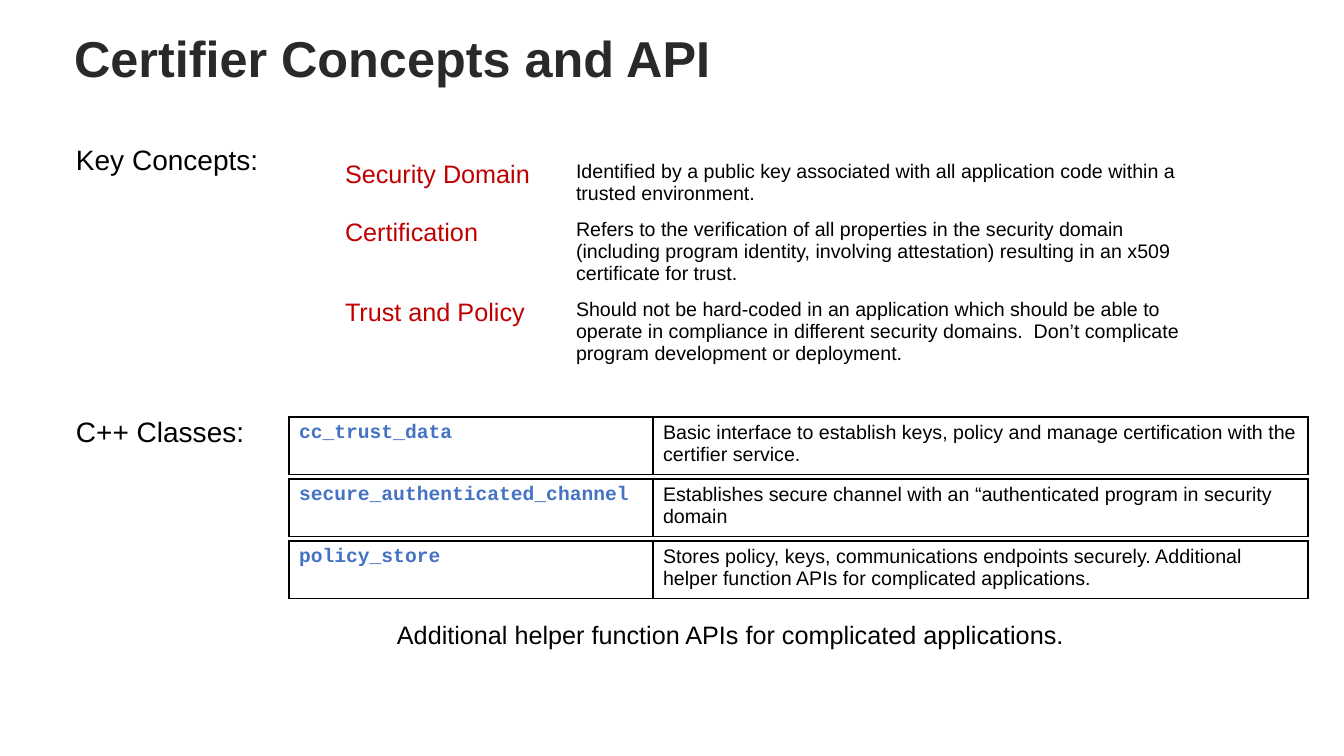
import pptx
import pptx.util
import pptx.dml.color
import pptx.enum.text
import pptx.oxml
import pptx.oxml.ns

PX = 914400 / 100.8
BLACK, RED, BLUE, TITLE = "000000", "C00000", "4472C4", "292929"

CONCEPTS = [
    ("Security Domain", "Identified by a public key associated with all application "
     "code within a trusted environment.", 54),
    ("Certification", "Refers to the verification of all properties in the security "
     "domain (including program identity, involving attestation) resulting in an x509 "
     "certificate for trust.", 76),
    ("Trust and Policy", "Should not be hard-coded in an application which should be able "
     "to operate in compliance in different security domains.  Don’t complicate program "
     "development or deployment.", 76),
]
CLASSES = [
    ("cc_trust_data", "Basic interface to establish keys, policy and manage "
     "certification with the certifier service."),
    ("secure_authenticated_channel", "Establishes secure channel with an “authenticated "
     "program in security domain"),
    ("policy_store", "Stores policy, keys, communications endpoints securely. Additional "
     "helper function APIs for complicated applications."),
]


def px(n):
    return pptx.util.Emu(round(n * PX))


def rgb(color):
    return pptx.dml.color.RGBColor.from_string(color)


def write(tf, text, size=14, color=BLACK, font="Arial", bold=False, before=None, spacing=None):
    p = tf.paragraphs[0]
    p.alignment = pptx.enum.text.PP_ALIGN.LEFT
    p.space_before = before
    p.line_spacing = spacing
    r = p.add_run()
    r.text = text
    r.font.size = pptx.util.Pt(size)
    r.font.name = font
    r.font.bold = bold
    r.font.color.rgb = rgb(color)


def set_margins(tf, left, top, right, bottom):
    tf.margin_left, tf.margin_top = px(left), px(top)
    tf.margin_right, tf.margin_bottom = px(right), px(bottom)


def add_title(s, text):
    sp = s.shapes.title
    sp.left, sp.top, sp.width, sp.height = px(69), px(17), px(1163), px(88)
    tf = sp.text_frame
    tf.auto_size = pptx.enum.text.MSO_AUTO_SIZE.NONE
    tf.vertical_anchor = pptx.enum.text.MSO_ANCHOR.MIDDLE
    set_margins(tf, 5, 5, 5, 5)
    write(tf, text, size=36, color=TITLE, bold=True, spacing=0.9)


def add_text(s, text, x, y, w, h, margins=(10, 5, 10, 5), **fmt):
    tf = s.shapes.add_textbox(px(x), px(y), px(w), px(h)).text_frame
    tf.word_wrap = True
    set_margins(tf, *margins)
    write(tf, text, **fmt)


def add_section_label(s, text, y):
    add_text(s, text, 36, y, 290, 76, margins=(40, 25, 25, 25),
             size=20, before=pptx.util.Pt(4))


def add_borders(cell):
    tc_pr = cell._tc.get_or_add_tcPr()
    for i, side in enumerate("LRTB"):
        tc_pr.insert(i, pptx.oxml.parse_xml(
            f'<a:ln{side} {pptx.oxml.ns.nsdecls("a")} w="12700"><a:solidFill>'
            f'<a:srgbClr val="{BLACK}"/></a:solidFill></a:ln{side}>'))


def add_term_table(s, rows, x, y, widths, heights, bordered=False, **term_fmt):
    """Table of terms, styled by term_fmt, beside their descriptions."""
    table = s.shapes.add_table(len(rows), 2, px(x), px(y),
                               px(sum(widths)), px(sum(heights))).table
    table.first_row = table.horz_banding = False
    for col, width in zip(table.columns, widths):
        col.width = px(width)
    for row, height, texts in zip(table.rows, heights, rows):
        row.height = px(height)
        for cell, text, fmt in zip(row.cells, texts, (term_fmt, {})):
            cell.fill.background()
            write(cell.text_frame, text, **fmt)
            if bordered:
                add_borders(cell)


def main():
    prs = pptx.Presentation()
    prs.slide_width, prs.slide_height = px(1344), px(756)
    s = prs.slides.add_slide(prs.slide_layouts[5])
    add_title(s, "Certifier Concepts and API")

    add_section_label(s, "Key Concepts:", 126)
    add_term_table(s, [c[:2] for c in CONCEPTS], 335, 156, (231, 658),
                   [c[2] for c in CONCEPTS], size=18, color=RED)

    add_section_label(s, "C++ Classes:", 398)
    for i, row in enumerate(CLASSES):
        add_term_table(s, [row], 289, 417 + 62 * i, (364, 655), [54], bordered=True,
                       color=BLUE, font="Courier New", bold=True)

    add_text(s, "Additional helper function APIs for complicated applications.",
             387, 614, 754, 40, size=18)
    prs.save("out.pptx")


if __name__ == "__main__":
    main()
